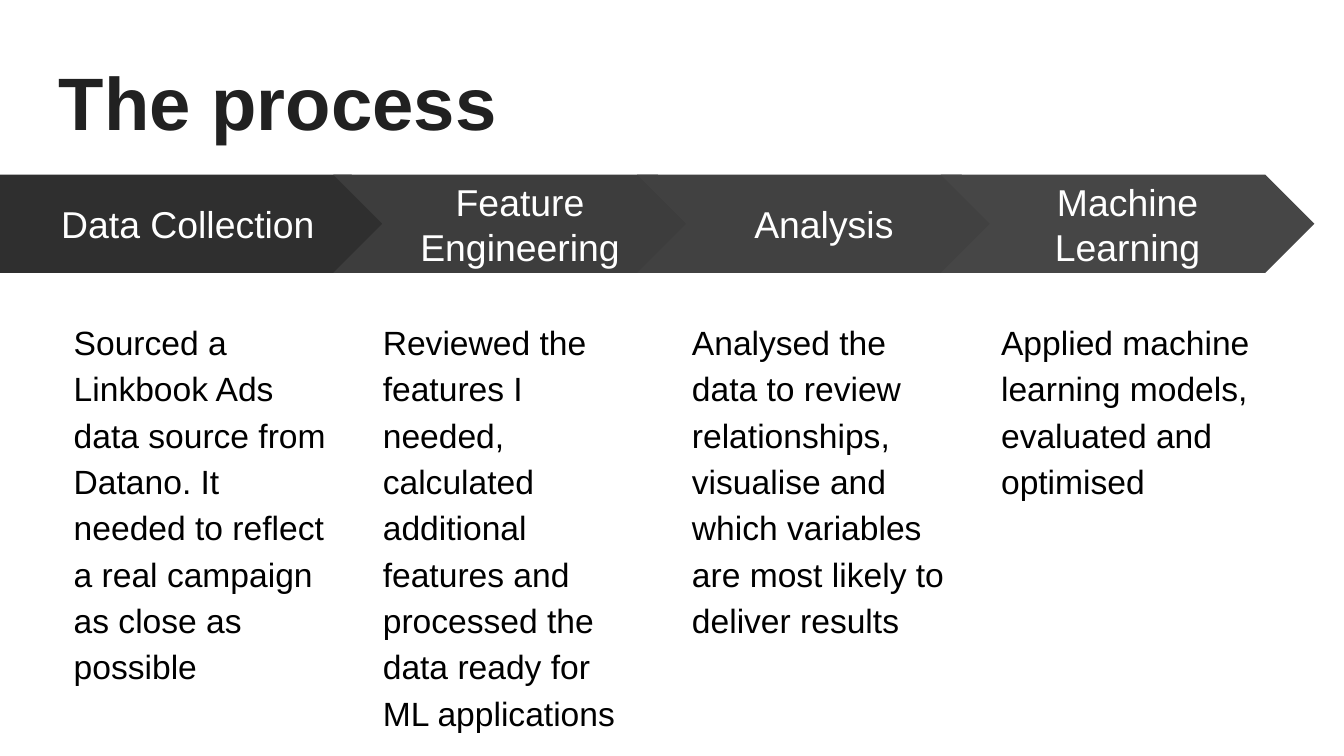
"""Build a slide showing a four-step process as arrows with descriptions."""
import pptx
import pptx.util
import pptx.dml.color
import pptx.enum.shapes
import pptx.enum.text

Inches = pptx.util.Inches
ARROW = pptx.enum.shapes.MSO_SHAPE
ANCHOR = pptx.enum.text.MSO_ANCHOR
ALIGN = pptx.enum.text.PP_ALIGN

TITLE = "The process"
STEPS = [
    ("Data Collection", "Sourced a Linkbook Ads data source from Datano. It needed to "
     "reflect a real campaign as close as possible"),
    ("Feature Engineering", "Reviewed the features I needed, calculated additional "
     "features and processed the data ready for ML applications"),
    ("Analysis", "Analysed the data to review relationships, visualise and which "
     "variables are most likely to deliver results"),
    ("Machine Learning", "Applied machine learning models, evaluated and optimised"),
]
COLORS = {"title": "212121", "label": "FFFFFF", "body": "000000"}
STEP_FILLS = ["2F2F2F", "3D3D3D", "414141", "464646"]
FORMATS = {
    "title": {"size": pptx.util.Pt(39.8), "bold": True, "name": "Arial"},
    "label": {"size": pptx.util.Pt(20), "name": "Arial"},
    "body": {"size": pptx.util.Pt(18), "name": "Arial"},
}
FRAME = {
    "word_wrap": True,
    "margin_left": Inches(0.1),
    "margin_top": Inches(0.1),
    "margin_right": Inches(0.1),
    "margin_bottom": Inches(0.1),
}

ARROW_TOP, ARROW_HEIGHT = 1.3, 0.73
FIRST_WIDTH, CHEVRON_WIDTH = 2.98, 2.78
CHEVRON_LEFT, CHEVRON_PITCH = 2.48, 2.26
BODY_LEFT, BODY_PITCH = 0.45, 2.3


def write_text(shape, text, role, anchor=ANCHOR.TOP, **paragraph_format):
    frame = shape.text_frame
    for name, value in {**FRAME, "vertical_anchor": anchor}.items():
        setattr(frame, name, value)
    paragraph = frame.paragraphs[0]
    for name, value in paragraph_format.items():
        setattr(paragraph, name, value)
    run = paragraph.add_run()
    run.text = text
    for name, value in FORMATS[role].items():
        setattr(run.font, name, value)
    run.font.color.rgb = pptx.dml.color.RGBColor.from_string(COLORS[role])


def add_text(slide, box, text, role, **paragraph_format):
    shape = slide.shapes.add_textbox(*map(Inches, box))
    write_text(shape, text, role, **paragraph_format)


def add_arrow(slide, index, label):
    if index == 0:
        kind, left, width = ARROW.PENTAGON, 0, FIRST_WIDTH
    else:
        kind, width = ARROW.CHEVRON, CHEVRON_WIDTH
        left = CHEVRON_LEFT + (index - 1) * CHEVRON_PITCH
    box = (left, ARROW_TOP, width, ARROW_HEIGHT)
    shape = slide.shapes.add_shape(kind, *map(Inches, box))
    shape.adjustments[0] = 0.5
    shape.shadow.inherit = False
    shape.fill.solid()
    shape.fill.fore_color.rgb = pptx.dml.color.RGBColor.from_string(STEP_FILLS[index])
    shape.line.fill.background()
    write_text(shape, label, "label", ANCHOR.MIDDLE, alignment=ALIGN.CENTER)


def main():
    presentation = pptx.Presentation()
    presentation.slide_width = Inches(10)
    presentation.slide_height = Inches(10) * 9 // 16
    slide = presentation.slides.add_slide(presentation.slide_layouts[6])
    add_text(slide, (0.34, 0.32, 9.32, 0.88), TITLE, "title")
    for index, (label, description) in enumerate(STEPS):
        add_arrow(slide, index, label)
        box = (BODY_LEFT + index * BODY_PITCH, 2.25, 2.08, 2.86)
        add_text(slide, box, description, "body", line_spacing=1.15)
    presentation.save("out.pptx")


if __name__ == "__main__":
    main()
